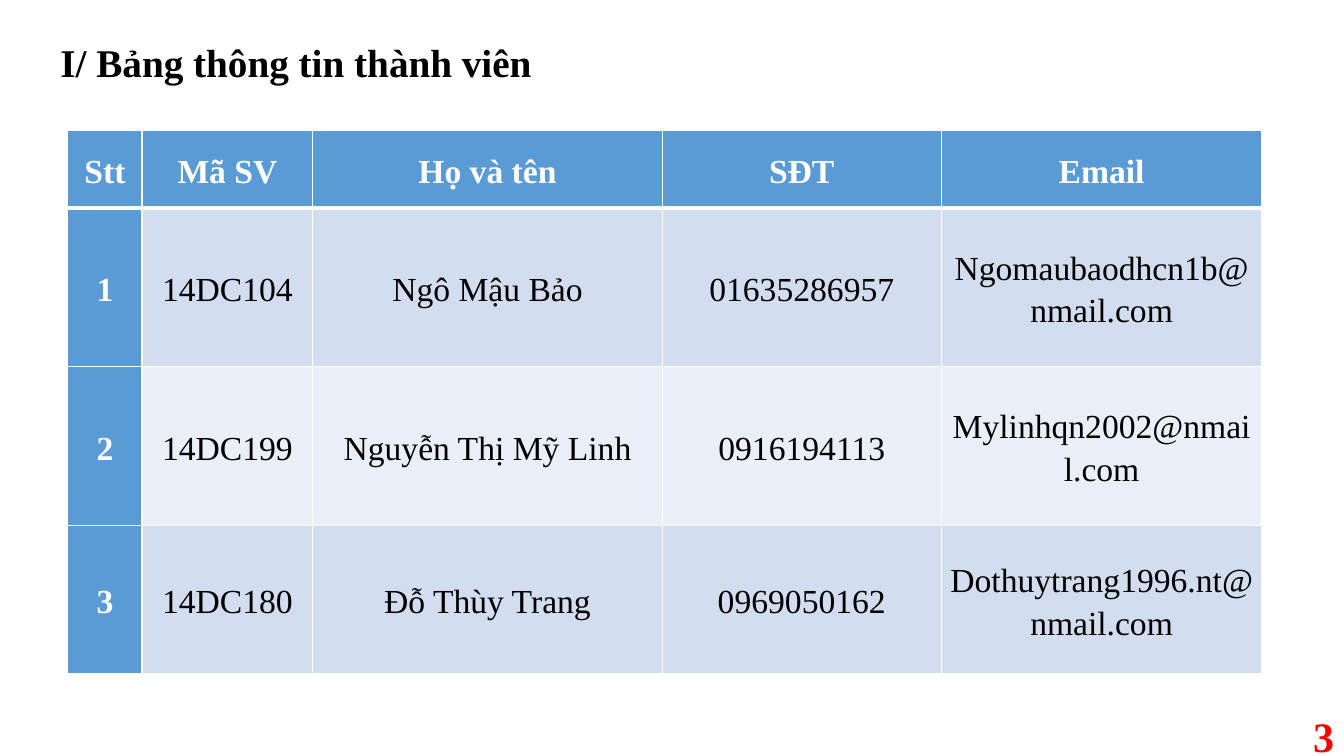
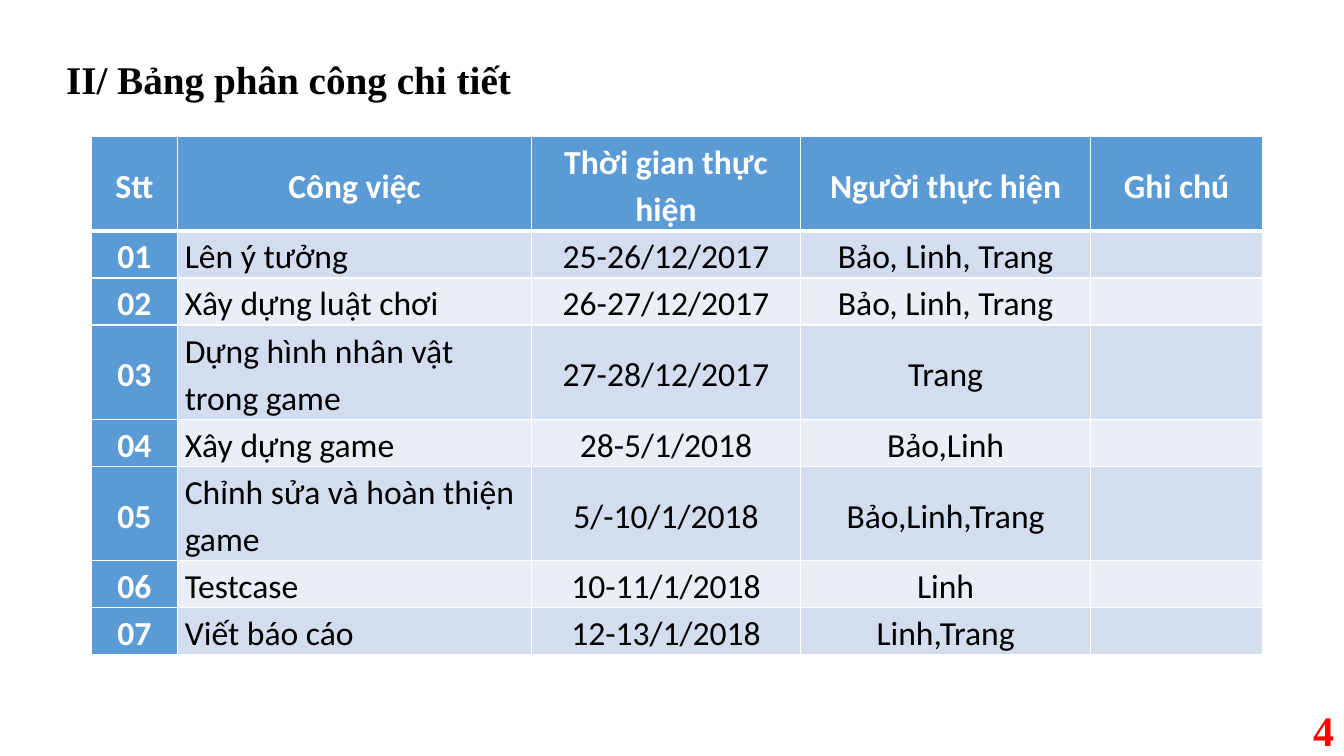
from lxml import etree
from pptx import Presentation
from pptx.dml.color import RGBColor
from pptx.enum import text as t
from pptx.oxml import ns
from pptx.util import Pt

BLACK = RGBColor(0x00, 0x00, 0x00)
WHITE = RGBColor(0xFF, 0xFF, 0xFF)
RED = RGBColor(0xFF, 0x00, 0x00)
BLUE = RGBColor(0x5B, 0x9B, 0xD5)
BANDS = (RGBColor(0xD2, 0xDE, 0xEF), RGBColor(0xEA, 0xEF, 0xF7))

SERIF = "Times New Roman"
SANS = "Calibri"
SLIDE_WIDTH, SLIDE_HEIGHT = 960, 540
LEFT, CENTER, RIGHT = t.PP_ALIGN.LEFT, t.PP_ALIGN.CENTER, t.PP_ALIGN.RIGHT
TITLE_ONLY = 5

MEMBERS = [
    ("Stt", "Mã SV", "Họ và tên", "SĐT", "Email"),
    ("1", "14DC104", "Ngô Mậu Bảo", "01635286957", "Ngomaubaodhcn1b@nmail.com"),
    ("2", "14DC199", "Nguyễn Thị Mỹ Linh", "0916194113", "Mylinhqn2002@nmail.com"),
    ("3", "14DC180", "Đỗ Thùy Trang", "0969050162", "Dothuytrang1996.nt@nmail.com"),
]
TASKS = [
    ("Stt", "Công việc", "Thời gian thực hiện", "Người thực hiện", "Ghi chú"),
    ("01", "Lên ý tưởng", "25-26/12/2017", "Bảo, Linh, Trang", ""),
    ("02", "Xây dựng luật chơi", "26-27/12/2017", "Bảo, Linh, Trang", ""),
    ("03", "Dựng hình nhân vật trong game", "27-28/12/2017", "Trang", ""),
    ("04", "Xây dựng game", "28-5/1/2018", "Bảo,Linh", ""),
    ("05", "Chỉnh sửa và hoàn thiện game", "5/-10/1/2018", "Bảo,Linh,Trang", ""),
    ("06", "Testcase", "10-11/1/2018", "Linh", ""),
    ("07", "Viết báo cáo", "12-13/1/2018", "Linh,Trang", ""),
]


def write_text(frame, text, size=24, font=SERIF, color=BLACK, bold=False,
               align=LEFT, line_spacing=1.15, space_after=0):
    paragraph = frame.paragraphs[0]
    paragraph.alignment = align
    paragraph.line_spacing = line_spacing
    paragraph.space_after = Pt(space_after)
    run = paragraph.add_run()
    run.text = text
    run.font.size = Pt(size)
    run.font.name = font
    run.font.color.rgb = color
    run.font.bold = bold


def set_borders(cell, top=1, bottom=1):
    """Draw white cell borders, with widths in points."""
    properties = cell._tc.get_or_add_tcPr()
    sides = (("lnL", 1), ("lnR", 1), ("lnT", top), ("lnB", bottom))
    for index, (side, width) in enumerate(sides):
        line = etree.Element(ns.qn(f"a:{side}"), w=str(Pt(width)))
        fill = etree.SubElement(line, ns.qn("a:solidFill"))
        etree.SubElement(fill, ns.qn("a:srgbClr"), val=str(WHITE))
        properties.insert(index, line)


def add_title(slide, text, left, top):
    title = slide.shapes.title
    title.left, title.top = Pt(left), Pt(top)
    title.width, title.height = Pt(400), Pt(46)
    frame = title.text_frame
    frame.auto_size = t.MSO_AUTO_SIZE.NONE
    frame.vertical_anchor = t.MSO_ANCHOR.TOP
    frame.word_wrap = True
    write_text(frame, text, size=28, bold=True, space_after=10)


def add_page_number(slide, number, top):
    width, height = 216, 29
    box = slide.shapes.add_textbox(Pt(SLIDE_WIDTH - width), Pt(top), Pt(width), Pt(height))
    box.text_frame.word_wrap = True
    box.text_frame.vertical_anchor = t.MSO_ANCHOR.MIDDLE
    write_text(box.text_frame, str(number), size=30, color=RED, bold=True,
               align=RIGHT, line_spacing=1)


def add_grid(slide, rows, left, top, widths, heights, font, left_column=None):
    """Add a banded table; left_column is the body column set flush left."""
    table = slide.shapes.add_table(len(rows), len(widths), Pt(left), Pt(top),
                                   Pt(sum(widths)), Pt(sum(heights))).table
    for column, width in zip(table.columns, widths):
        column.width = Pt(width)
    for row, height in zip(table.rows, heights):
        row.height = Pt(height)
    for i, values in enumerate(rows):
        for j, value in enumerate(values):
            cell = table.cell(i, j)
            heading = i == 0 or j == 0
            cell.margin_left = cell.margin_right = Pt(5)
            cell.margin_top = cell.margin_bottom = 0
            cell.vertical_anchor = t.MSO_ANCHOR.MIDDLE
            cell.fill.solid()
            cell.fill.fore_color.rgb = BLUE if heading else BANDS[(i - 1) % 2]
            set_borders(cell, top=3 if i == 1 else 1, bottom=3 if i == 0 else 1)
            if value:
                flush_left = i > 0 and j == left_column
                write_text(cell.text_frame, value, font=font, bold=heading,
                           color=WHITE if heading else BLACK,
                           align=LEFT if flush_left else CENTER)


def add_members_slide(presentation):
    slide = presentation.slides.add_slide(presentation.slide_layouts[TITLE_ONLY])
    add_title(slide, "I/ Bảng thông tin thành viên", 36, 19)
    add_grid(slide, MEMBERS, 48.5, 93, widths=(53, 122, 249.5, 199.5, 229),
             heights=(55.5, 113.5, 113.5, 105.5), font=SERIF)
    add_page_number(slide, 3, 511)


def add_tasks_slide(presentation):
    slide = presentation.slides.add_slide(presentation.slide_layouts[TITLE_ONLY])
    add_title(slide, "II/ Bảng phân công chi tiết", 40, 31)
    one_line, two_lines = 33, 66
    add_grid(slide, TASKS, 65, 97.5, widths=(62, 252.5, 192.5, 207, 123),
             heights=(two_lines, one_line, one_line, two_lines, one_line,
                      two_lines, one_line, one_line),
             font=SANS, left_column=1)
    add_page_number(slide, 4, 507)


def main():
    presentation = Presentation()
    presentation.slide_width = Pt(SLIDE_WIDTH)
    presentation.slide_height = Pt(SLIDE_HEIGHT)
    add_members_slide(presentation)
    add_tasks_slide(presentation)
    presentation.save("out.pptx")


if __name__ == "__main__":
    main()
